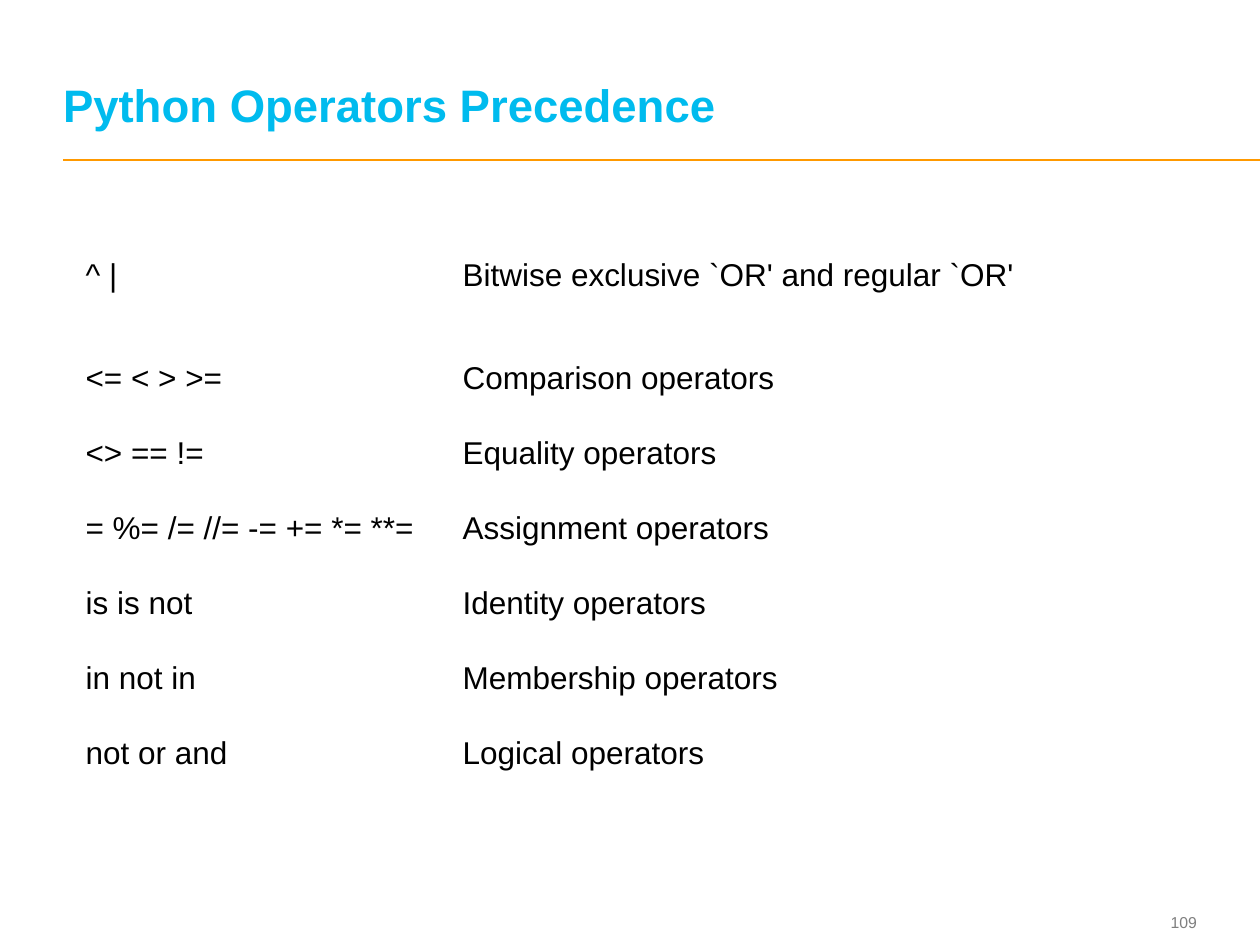
from lxml import etree
from pptx import Presentation
from pptx.dml.color import RGBColor
from pptx.enum.shapes import MSO_CONNECTOR
from pptx.enum.text import MSO_ANCHOR as Anchor, PP_ALIGN as Align
from pptx.oxml.ns import qn
from pptx.util import Emu, Pt

EMU_PER_PX = 914400 / 126
CYAN = RGBColor(0x00, 0xBB, 0xEE)
ORANGE = RGBColor(0xFF, 0x99, 0x00)
GRAY = RGBColor(0x7F, 0x7F, 0x7F)
BLACK = RGBColor(0, 0, 0)

COLUMN_WIDTHS = (377, 777)
FIRST_ROW_HEIGHT, ROW_HEIGHT = 131, 75
PRECEDENCE = (
    ("^ |", "Bitwise exclusive `OR' and regular `OR'"),
    ("<= < > >=", "Comparison operators"),
    ("<> == !=", "Equality operators"),
    ("= %= /= //= -= += *= **=", "Assignment operators"),
    ("is is not", "Identity operators"),
    ("in not in", "Membership operators"),
    ("not or and", "Logical operators"),
)


def px(*lengths):
    return [Emu(round(length * EMU_PER_PX)) for length in lengths]


def write(paragraph, text, size, color, bold=False):
    run = paragraph.add_run()
    run.text = text
    font_format = {"name": "Arial", "size": Pt(size), "bold": bold}
    for key, value in font_format.items():
        setattr(run.font, key, value)
    run.font.color.rgb = color


def add_label(slide, box, text, anchor, align, size, color, bold=False):
    frame = slide.shapes.add_textbox(*px(*box)).text_frame
    frame_format = {"word_wrap": True, "vertical_anchor": anchor,
                    "margin_left": 0, "margin_top": 0,
                    "margin_right": 0, "margin_bottom": 0}
    for key, value in frame_format.items():
        setattr(frame, key, value)
    paragraph = frame.paragraphs[0]
    paragraph.alignment = align
    write(paragraph, text, size, color, bold)
    return paragraph


def add_rule(slide, left, right, y):
    rule = slide.shapes.add_connector(
        MSO_CONNECTOR.STRAIGHT, *px(left, y, right, y))
    rule.line.color.rgb = ORANGE
    rule.line.width = Pt(1)
    etree.SubElement(rule._element.spPr, qn("a:effectLst"))


def add_precedence_table(slide, left, top):
    heights = [FIRST_ROW_HEIGHT] + [ROW_HEIGHT] * (len(PRECEDENCE) - 1)
    table = slide.shapes.add_table(
        len(heights), len(COLUMN_WIDTHS),
        *px(left, top, sum(COLUMN_WIDTHS), sum(heights))).table
    table.first_row = table.horz_banding = False
    for column, width in zip(table.columns, px(*COLUMN_WIDTHS)):
        column.width = width
    for row, height, texts in zip(table.rows, px(*heights), PRECEDENCE):
        row.height = height
        for cell, text in zip(row.cells, texts):
            cell.fill.background()
            cell.vertical_anchor = Anchor.MIDDLE
            write(cell.text_frame.paragraphs[0], text, 18, BLACK)


def main():
    deck = Presentation()
    deck.slide_width, deck.slide_height = px(1260, 945)
    slide = deck.slides.add_slide(deck.slide_layouts[6])
    add_rule(slide, 63, 1260, 160)
    add_label(slide, (1123, 905, 74, 34), "109",
              Anchor.MIDDLE, Align.RIGHT, 9, GRAY)
    title = add_label(slide, (63, 24, 1130, 108), "Python Operators Precedence",
                      Anchor.BOTTOM, Align.LEFT, 26, CYAN, bold=True)
    title.line_spacing = Pt(26)
    add_precedence_table(slide, 73, 210)
    deck.save("out.pptx")


if __name__ == "__main__":
    main()
